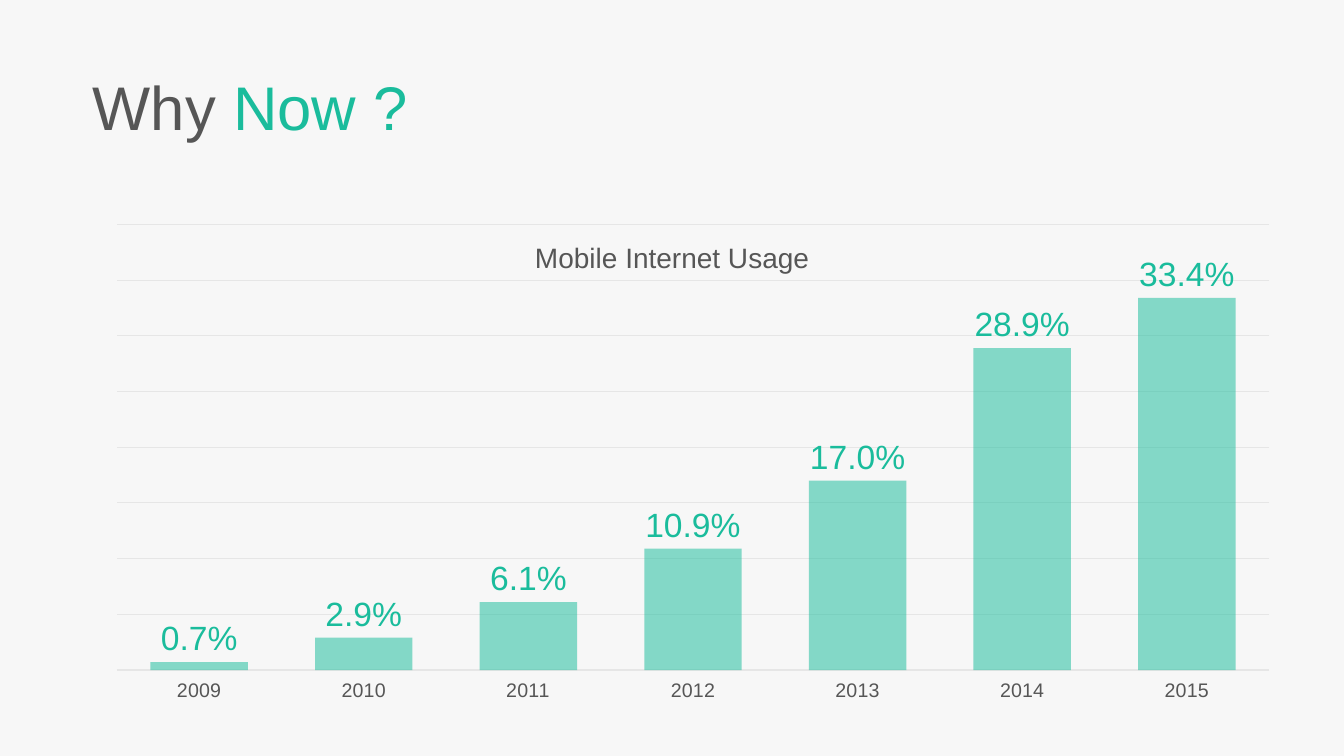
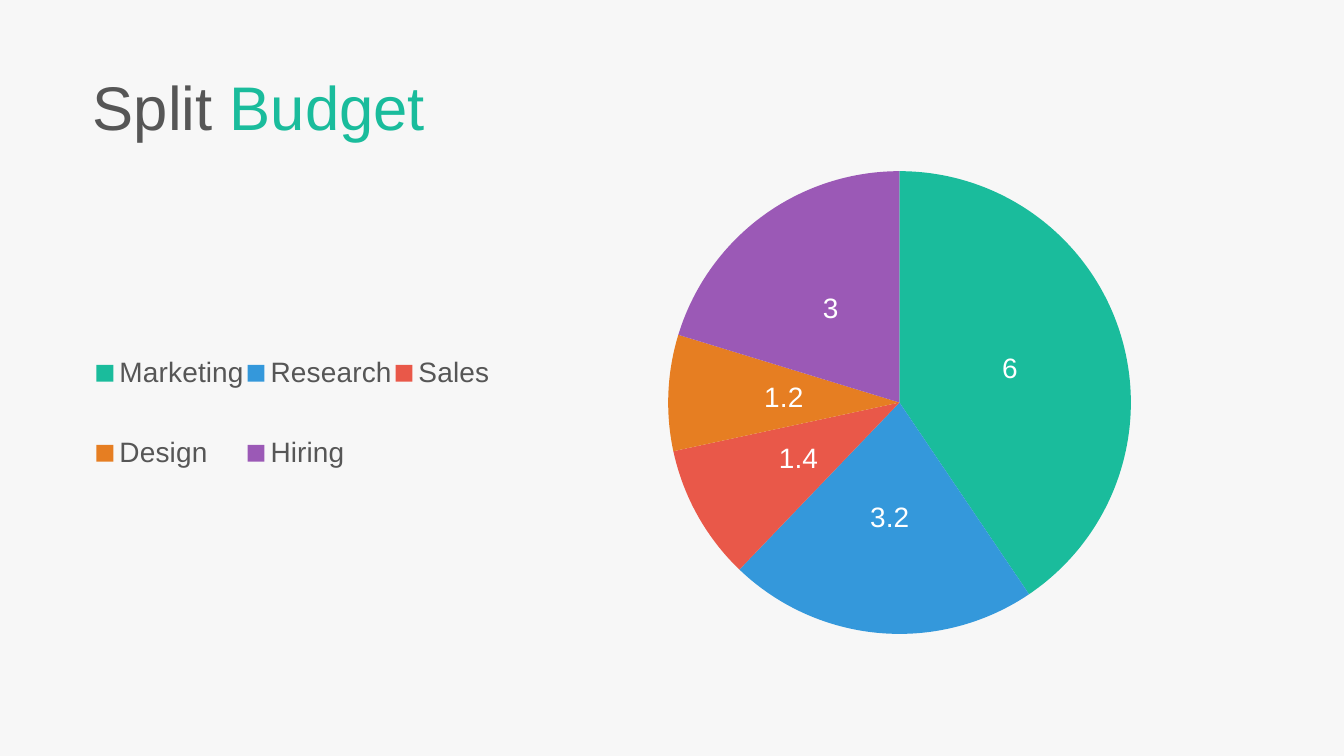
from pptx import Presentation
from pptx.chart.data import CategoryChartData as Data
from pptx.dml.color import RGBColor as Rgb
from pptx.enum.chart import XL_CHART_TYPE as Kind
from pptx.enum.chart import XL_LABEL_POSITION as Spot
from pptx.enum.chart import XL_LEGEND_POSITION as Side
from pptx.enum.chart import XL_TICK_LABEL_POSITION as Place
from pptx.enum.chart import XL_TICK_MARK as Tick
from pptx.enum.text import MSO_ANCHOR as Anchor
from pptx.enum.text import MSO_AUTO_SIZE as Fit
from pptx.enum.text import PP_ALIGN as Align
from pptx.oxml import parse_xml
from pptx.oxml.ns import nsdecls
from pptx.util import Cm, Pt

HUES = {
    "back": "F7F7F7", "text": "565656", "grid": "E6E6E6", "white": "FFFFFF",
    "teal": "1ABC9C", "blue": "3498DB", "red": "E95849",
    "gold": "E67E22", "plum": "9B59B6",
}
FACE = "Arial"

USAGE = {
    "title": ("Why ", "Now ?"),
    "label": "Mobile Internet Usage",
    "rows": [("2009", 0.007), ("2010", 0.029), ("2011", 0.061),
             ("2012", 0.109), ("2013", 0.17), ("2014", 0.289),
             ("2015", 0.334)],
}
BUDGET = {
    "title": ("Split", " Budget"),
    "rows": [("Marketing", 6, "teal"), ("Research", 3.2, "blue"),
             ("Sales", 1.4, "red"), ("Design", 1.2, "gold"),
             ("Hiring", 3, "plum")],
}


def hue(name):
    return Rgb.from_string(HUES[name])


def style(font, size, name):
    font.name, font.size, font.bold = FACE, Pt(size), False
    font.color.rgb = hue(name)


def paint(fill, name):
    fill.solid()
    fill.fore_color.rgb = hue(name)


def rule(line):
    line.color.rgb = hue("grid")
    line.width = Pt(0.75)


def start(deck, words):
    slide = deck.slides.add_slide(deck.slide_layouts[5])
    title = slide.shapes.title
    title.left, title.top = Cm(2.34), Cm(1.83)
    title.width, title.height = Cm(12.45), Cm(1.96)
    frame = title.text_frame
    frame.auto_size = Fit.NONE
    frame.vertical_anchor = Anchor.TOP
    frame.margin_left = 0
    para = frame.paragraphs[0]
    para.alignment = Align.LEFT
    para.line_spacing = 0.9
    for word, name in zip(words, ("text", "teal")):
        run = para.add_run()
        run.text = word
        style(run.font, 44, name)
    return slide


def chart_on(slide, kind, rows, box, form):
    data = Data(number_format=form)
    data.categories = [row[0] for row in rows]
    data.add_series("Series 1", [row[1] for row in rows])
    area = [Cm(side) for side in box]
    chart = slide.shapes.add_chart(kind, *area, data).chart
    chart.has_title = False
    chart.has_legend = False
    style(chart.font, 10, "text")
    return chart


def tag(plot, size, name, form, spot):
    plot.has_data_labels = True
    labels = plot.data_labels
    labels.show_value = True
    labels.number_format = form
    labels.number_format_is_linked = False
    labels.position = spot
    style(labels.font, size, name)


def lay(node, index, box, inner=False):
    for old in node.xpath("./c:layout"):
        node.remove(old)
    parts = '<c:layoutTarget val="inner"/>' if inner else ""
    parts += '<c:xMode val="edge"/><c:yMode val="edge"/>'
    for key, value in zip("xywh", box):
        parts += f'<c:{key} val="{value}"/>'
    node.insert(index, parse_xml(
        f'<c:layout {nsdecls("c")}><c:manualLayout>{parts}'
        '</c:manualLayout></c:layout>'))


def usage(deck):
    slide = start(deck, USAGE["title"])
    chart = chart_on(slide, Kind.COLUMN_CLUSTERED, USAGE["rows"],
                     (2.34, 5.41, 30.25, 12.34), "0.0%")
    plot = chart.plots[0]
    plot.gap_width, plot.overlap = 69, 7
    plot.vary_by_categories = False
    paint(plot.series[0].format.fill, "teal")
    tint = chart.element.xpath("//c:ser/c:spPr//a:srgbClr")[0]
    tint.append(parse_xml(f'<a:alpha {nsdecls("a")} val="52000"/>'))
    tag(plot, 24, "teal", "0.0%", Spot.OUTSIDE_END)

    years = chart.category_axis
    years.major_tick_mark = years.minor_tick_mark = Tick.NONE
    years.tick_label_position = Place.LOW
    rule(years.format.line)
    style(years.tick_labels.font, 14, "text")
    share = chart.value_axis
    share.minimum_scale, share.maximum_scale = 0, 0.4
    share.major_unit = 0.05
    share.has_major_gridlines = True
    rule(share.major_gridlines.format.line)
    share.visible = False
    lay(chart.element.xpath("//c:plotArea")[0], 0,
        (0.02, 0.02, 0.96, 0.91), True)

    label = slide.shapes.add_textbox(Cm(10.87), Cm(5.94), Cm(12.14), Cm(1.12))
    frame = label.text_frame
    frame.word_wrap = True
    frame.text = USAGE["label"]
    para = frame.paragraphs[0]
    para.alignment = Align.CENTER
    style(para.runs[0].font, 20, "text")


def budget(deck):
    slide = start(deck, BUDGET["title"])
    chart = chart_on(slide, Kind.PIE, BUDGET["rows"],
                     (2.34, 4.29, 31.52, 13.46), "General")
    plot = chart.plots[0]
    plot.vary_by_categories = True
    for index, row in enumerate(BUDGET["rows"]):
        paint(plot.series[0].points[index].format.fill, row[2])
    tag(plot, 20, "white", "General", Spot.CENTER)
    chart.has_legend = True
    chart.legend.position = Side.BOTTOM
    chart.legend.include_in_layout = False
    style(chart.legend.font, 20, "text")
    lay(chart.element.xpath("//c:plotArea")[0], 0,
        (0.46, 0, 0.37, 0.87), True)
    lay(chart.element.xpath("//c:legend")[0], 1, (0, 0.26, 0.32, 0.39))


def main():
    deck = Presentation()
    deck.slide_width, deck.slide_height = Cm(33.87), Cm(19.05)
    paint(deck.slide_master.background.fill, "back")
    usage(deck)
    budget(deck)
    deck.save("out.pptx")


if __name__ == "__main__":
    main()
